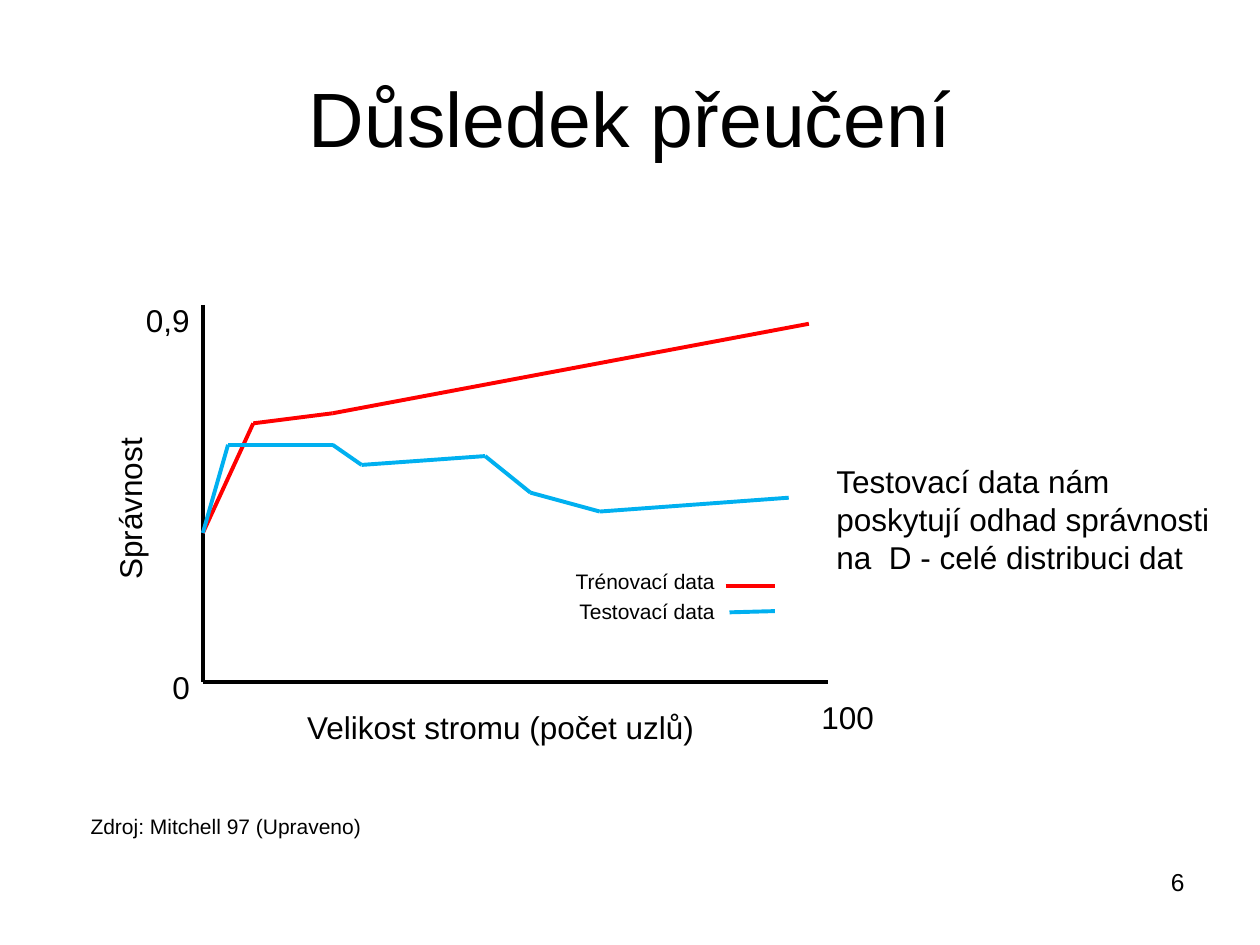
import itertools

import pptx
import pptx.dml.color
import pptx.enum.shapes
import pptx.enum.text
import pptx.oxml.ns
import pptx.util
from lxml import etree

RGBColor = pptx.dml.color.RGBColor
Align = pptx.enum.text.PP_ALIGN
Anchor = pptx.enum.text.MSO_ANCHOR

BLACK = RGBColor(0x00, 0x00, 0x00)
RED = RGBColor(0xFF, 0x00, 0x00)
BLUE = RGBColor(0x00, 0xB0, 0xF0)

COLUMNS, ROWS = 100, 75


class Painter:
    font = "Arial"
    stroke = pptx.util.Pt(2.25)

    def __init__(self, deck):
        self.page = deck.slides.add_slide(deck.slide_layouts[6])
        self.column = deck.slide_width / COLUMNS
        self.row = deck.slide_height / ROWS

    def place(self, column, row):
        return round(column * self.column), round(row * self.row)

    def text(self, words, left, top, width, height, size=18, align=Align.LEFT,
             anchor=Anchor.TOP, wrap=False, rotation=0):
        box = self.page.shapes.add_textbox(*self.place(left, top), *self.place(width, height))
        box.rotation = rotation
        frame = box.text_frame
        frame.word_wrap = wrap
        frame.vertical_anchor = anchor
        para = frame.paragraphs[0]
        para.text = words
        para.alignment = align
        para.font.name = self.font
        para.font.size = pptx.util.Pt(size)
        para.font.color.rgb = BLACK

    def path_line(self, points, color):
        for start, end in itertools.pairwise(points):
            line = self.page.shapes.add_connector(
                pptx.enum.shapes.MSO_CONNECTOR.STRAIGHT, *self.place(*start), *self.place(*end))
            line.line.color.rgb = color
            line.line.width = self.stroke
            properties = line._element.spPr
            etree.SubElement(properties, pptx.oxml.ns.qn("a:effectLst"))


def main():
    deck = pptx.Presentation()
    deck.slide_width = pptx.util.Inches(10)
    deck.slide_height = pptx.util.Inches(7.5)
    painter = Painter(deck)

    painter.text("Důsledek přeučení", 5, 3, 90, 12.5, size=44,
                 align=Align.CENTER, anchor=Anchor.MIDDLE, wrap=True)
    painter.text("Zdroj: Mitchell 97 (Upraveno)", 6.2, 64.1, 46.1, 3, size=12, wrap=True)

    axis_left, axis_bottom = 16.1, 54.1
    origin = (axis_left, axis_bottom)
    painter.path_line([(axis_left, 24.2), origin], BLACK)
    painter.path_line([origin, (65.7, axis_bottom)], BLACK)
    painter.text("Velikost stromu (počet uzlů)", 23.4, 55.7, 33, 4)
    painter.text("Správnost", 3.6, 38.3, 13.4, 4, rotation=270)

    curve_start = (axis_left, 42.3)
    training = [curve_start, (20.1, 33.6), (26.4, 32.8), (64.2, 25.7)]
    testing = [curve_start, (18.1, 35.3), (26.4, 35.3), (28.7, 36.9), (38.5, 36.2),
               (42.1, 39.1), (47.6, 40.6), (62.6, 39.5)]
    painter.path_line(training, RED)
    painter.path_line(testing, BLUE)

    painter.path_line([(57.6, 46.5), (61.5, 46.5)], RED)
    painter.path_line([(57.9, 48.6), (61.5, 48.5)], BLUE)
    painter.text("Trénovací data", 44.7, 44.6, 13.2, 3, size=12)
    painter.text("Testovací data", 45, 47, 12.9, 3, size=12)

    painter.text("0,9", 10.6, 23.4, 5.5, 4)
    painter.text("100", 64.2, 54.9, 6.2, 4)
    painter.text("0", 12.7, 52.5, 3.4, 4)
    painter.text("6", 71.7, 68.3, 23.3, 5.2, size=14, align=Align.RIGHT, wrap=True)
    painter.text("Testovací data nám poskytují odhad správnosti na  D - celé distribuci dat",
                 65.4, 36.2, 33.4, 10.1, wrap=True)

    deck.save("out.pptx")


if __name__ == "__main__":
    main()
